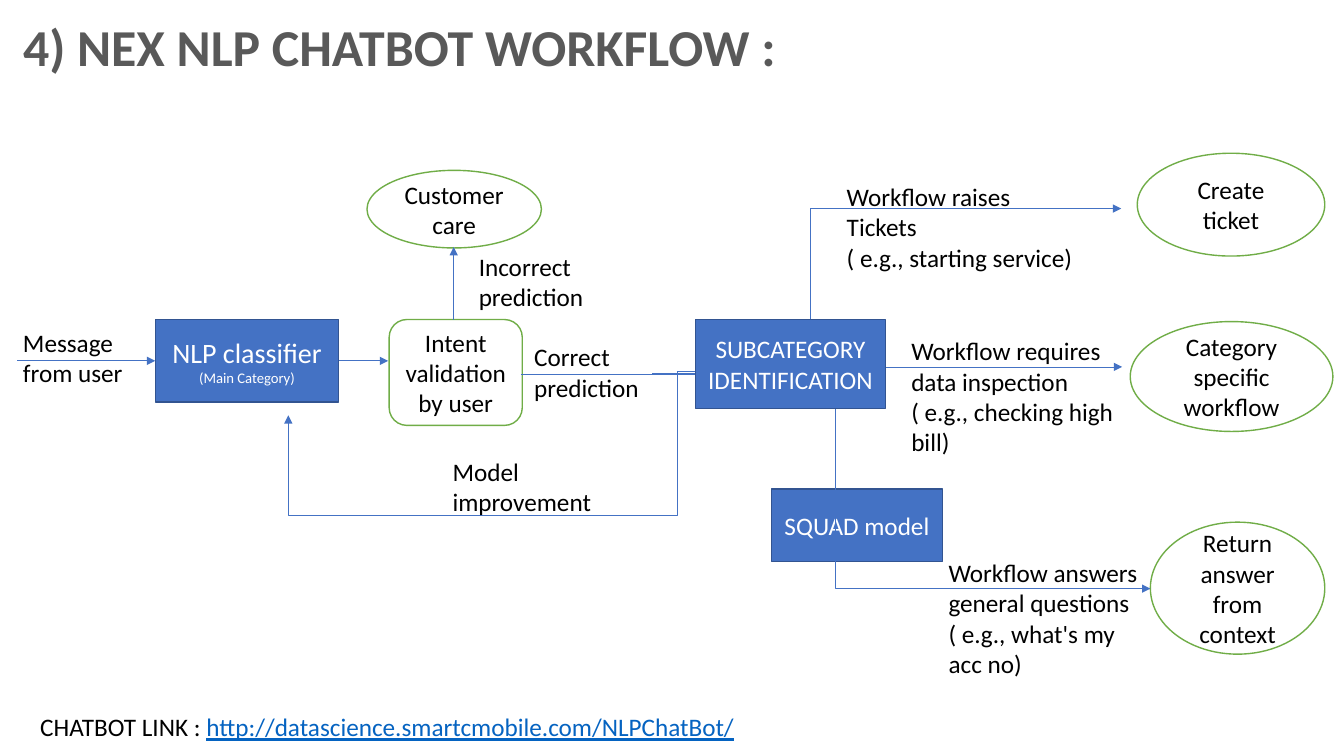
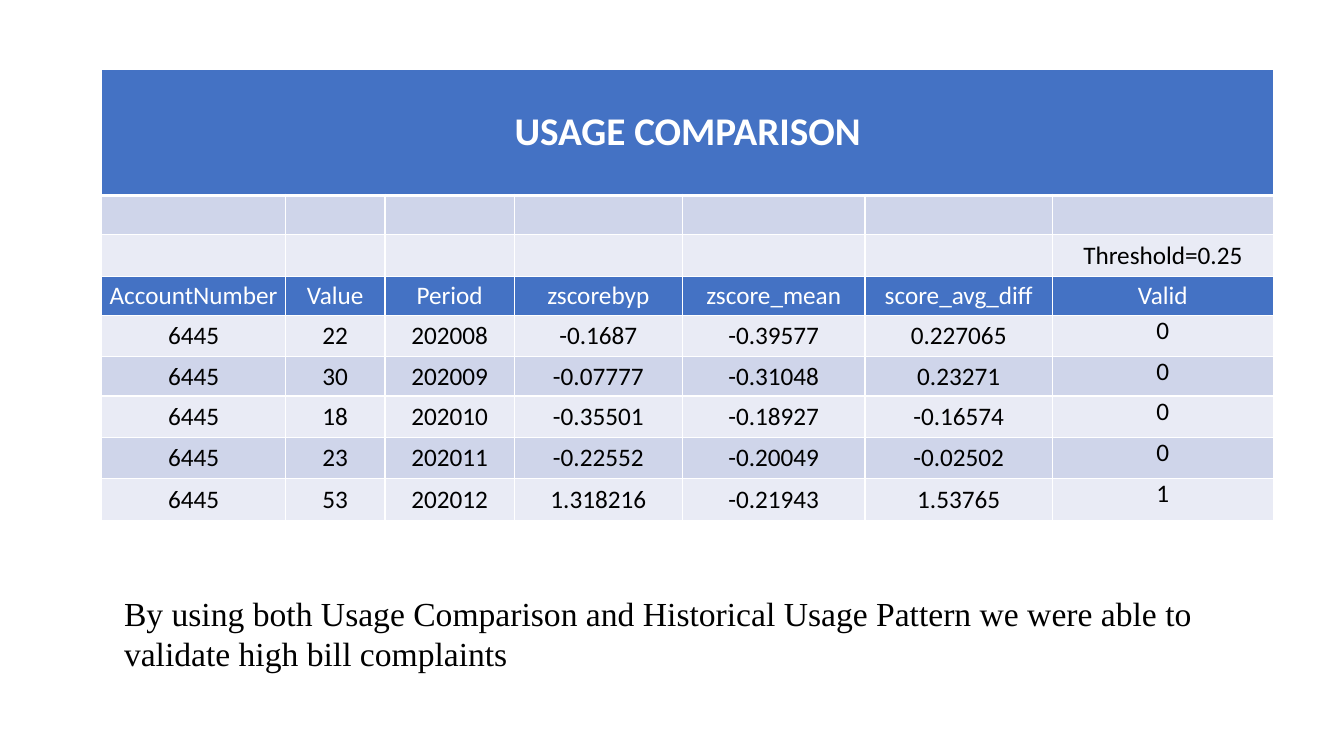
from pptx import Presentation
from pptx.dml.color import RGBColor
from pptx.enum.shapes import MSO_CONNECTOR, MSO_SHAPE
from pptx.enum.text import MSO_ANCHOR, MSO_AUTO_SIZE, PP_ALIGN
from pptx.oxml.ns import qn
from pptx.util import Inches, Pt
from lxml.etree import SubElement

BLUE, DARK_BLUE, GREEN = "4472C4", "325491", "70AD47"
WHITE, BLACK, GREY, LINK = "FFFFFF", "000000", "595959", "0563C1"
BAND_DARK, BAND_LIGHT = "CFD5EA", "E9EBF5"
BODY_FONT, NOTE_FONT = "Calibri", "Times New Roman"

TITLE = "4) NEX NLP CHATBOT WORKFLOW :"
LINK_LABEL, LINK_URL = "CHATBOT LINK : ", "http://datascience.smartcmobile.com/NLPChatBot/"

# Step kinds: preset shape, fill, outline, text colour
STEP_KINDS = {
    "model": (MSO_SHAPE.RECTANGLE, BLUE, DARK_BLUE, WHITE),
    "check": (MSO_SHAPE.ROUNDED_RECTANGLE, WHITE, GREEN, BLACK),
    "outcome": (MSO_SHAPE.OVAL, WHITE, GREEN, BLACK),
}
# Steps: kind, position, lines as (text, size)
STEPS = {
    "classifier": ("model", (1.54, 3.17, 1.82, 0.82),
                   [("NLP classifier", 20), ("(Main Category)", 10.5)]),
    "customer care": ("outcome", (3.64, 1.69, 1.73, 0.77), [("Customer care", 18)]),
    "validation": ("check", (3.86, 3.17, 1.32, 1.05), [("Intent validation by user", 18)]),
    "squad": ("model", (7.65, 4.85, 1.7, 0.72), [("SQUAD model", 18)]),
    "ticket": ("outcome", (11.28, 1.52, 1.86, 1.02), [("Create ticket", 18)]),
    "workflow": ("outcome", (11.21, 3.19, 2.01, 1.09), [("Category specific workflow", 18)]),
    "answer": ("outcome", (11.41, 5.18, 1.73, 1.31), [("Return answer from context", 18)]),
}
SUBCATEGORY = ("model", (6.9, 3.17, 1.88, 0.88), [("SUBCATEGORY IDENTIFICATION", 18)])

LABELS = [
    ((0.13, 3.2, 1.33, 0.71), ["Message", "from user"]),
    ((4.65, 2.44, 1.48, 0.71), ["Incorrect prediction"]),
    ((5.2, 3.34, 1.27, 0.71), ["Correct", "prediction"]),
    ((4.39, 4.48, 1.7, 0.71), ["Model", "improvement"]),
    ((8.3, 1.75, 2.53, 1.01), ["Workflow raises Tickets", "( e.g., starting service)"]),
    ((8.94, 3.28, 2.37, 1.32),
     ["Workflow requires data inspection", "( e.g., checking high bill)"]),
    ((9.31, 5.48, 2.16, 1.31),
     ["Workflow answers general questions", "( e.g., what's my acc no)"]),
]

# Arrows: start, end, turns (x of the first bend, then y of the second)
ARROWS = [
    ((0.17, 3.58), (1.54, 3.58), ()),
    ((3.36, 3.58), (3.85, 3.58), ()),
    ((4.5, 3.17), (4.5, 2.45), ()),
    ((7.68, 3.64), (11.13, 3.64), ()),
    ((6.47, 3.7), (11.12, 2.07), (8.04,)),
    ((5.17, 3.71), (11.41, 5.84), (8.29,)),
    ((7.07, 3.68), (2.86, 4.12), (6.72, 5.11)),
]

USAGE_TITLE = "USAGE COMPARISON"
THRESHOLD = "Threshold=0.25"
ACCOUNT = "6445"
USAGE_HEADERS = ["AccountNumber", "Value", "Period", "zscorebyp", "zscore_mean",
                 "score_avg_diff", "Valid"]
USAGE = [
    ("22", "202008", "-0.1687", "-0.39577", "0.227065", "0"),
    ("30", "202009", "-0.07777", "-0.31048", "0.23271", "0"),
    ("18", "202010", "-0.35501", "-0.18927", "-0.16574", "0"),
    ("23", "202011", "-0.22552", "-0.20049", "-0.02502", "0"),
    ("53", "202012", "1.318216", "-0.21943", "1.53765", "1"),
]
COLUMN_WIDTHS = [1.82, 0.99, 1.28, 1.67, 1.81, 1.86, 2.19]
ROW_HEIGHTS = [1.25, 0.39, 0.41, 0.39, 0.41, 0.39, 0.41, 0.41, 0.42]
HEADER_ROW = 3
CONCLUSION = ("By using both Usage Comparison and Historical Usage Pattern "
              "we were able to validate high bill complaints")


def rgb(value):
    return RGBColor.from_string(value)


def inches(values):
    return [Inches(value) for value in values]


def add_run(paragraph, text, size=18, color=BLACK, font=BODY_FONT, bold=False, underline=False):
    run = paragraph.add_run()
    run.text = text
    run.font.name, run.font.size = font, Pt(size)
    run.font.bold, run.font.underline = bold, underline
    run.font.color.rgb = rgb(color)


def paragraphs(frame, count):
    """Return the first paragraph and as many new ones as needed."""
    return [frame.paragraphs[0]] + [frame.add_paragraph() for _ in range(count - 1)]


def add_text(slide, place, lines, **style):
    frame = slide.shapes.add_textbox(*inches(place)).text_frame
    frame.word_wrap = True
    for paragraph, line in zip(paragraphs(frame, len(lines)), lines):
        add_run(paragraph, line, **style)
    return frame


def add_step(slide, kind, place, lines):
    preset, fill, outline, color = STEP_KINDS[kind]
    step = slide.shapes.add_shape(preset, *inches(place))
    step.shadow.inherit = False
    step.fill.solid()
    step.fill.fore_color.rgb = rgb(fill)
    step.line.color.rgb = rgb(outline)
    step.line.width = Pt(1)
    frame = step.text_frame
    frame.word_wrap = True
    frame.vertical_anchor = MSO_ANCHOR.MIDDLE
    for paragraph, (text, size) in zip(paragraphs(frame, len(lines)), lines):
        paragraph.alignment = PP_ALIGN.CENTER
        add_run(paragraph, text, size, color)
    return step


def add_arrow(slide, start, end, turns):
    kind = MSO_CONNECTOR.ELBOW if turns else MSO_CONNECTOR.STRAIGHT
    arrow = slide.shapes.add_connector(kind, *inches(start + end))
    arrow.line.color.rgb = rgb(BLUE)
    arrow.line.width = Pt(0.5)
    properties = arrow._element.spPr
    SubElement(properties.find(qn("a:ln")), qn("a:tailEnd"), type="triangle")
    SubElement(properties, qn("a:effectLst"))
    if turns:
        geometry = properties.find(qn("a:prstGeom"))
        geometry.set("prst", f"bentConnector{len(turns) + 2}")
        guides = geometry.find(qn("a:avLst"))
        for number, (turn, first, last) in enumerate(zip(turns, start, end), 1):
            share = round((turn - first) / (last - first) * 100000)
            SubElement(guides, qn("a:gd"), name=f"adj{number}", fmla=f"val {share}")
    return arrow


def set_borders(cell, bottom_width=1, top_width=1):
    properties = cell._tc.get_or_add_tcPr()
    widths = {"lnL": 1, "lnR": 1, "lnT": top_width, "lnB": bottom_width}
    for index, (side, width) in enumerate(widths.items()):
        border = SubElement(properties, qn(f"a:{side}"), w=str(Pt(width)))
        fill = SubElement(border, qn("a:solidFill"))
        SubElement(fill, qn("a:srgbClr"), val=WHITE)
        properties.insert(index, border)


def build_workflow(deck):
    slide = deck.slides.add_slide(deck.slide_layouts[5])
    title = slide.shapes.title
    title.left, title.top, title.width, title.height = inches((0.13, 0.1, 8.15, 0.73))
    title.text_frame.auto_size = MSO_AUTO_SIZE.NONE
    title.text_frame.vertical_anchor = MSO_ANCHOR.TOP
    heading = title.text_frame.paragraphs[0]
    heading.alignment = PP_ALIGN.LEFT
    add_run(heading, TITLE, 37, GREY, bold=True)

    steps = {name: add_step(slide, *step) for name, step in STEPS.items()}
    message, classified, *_ = [add_arrow(slide, *arrow) for arrow in ARROWS]
    message.end_connect(steps["classifier"], 1)
    classified.begin_connect(steps["classifier"], 3)
    add_step(slide, *SUBCATEGORY)
    for place, lines in LABELS:
        add_text(slide, place, lines)
    footer = add_text(slide, (0.3, 7.01, 9.21, 0.4), [LINK_LABEL])
    add_run(footer.paragraphs[0], LINK_URL, color=LINK, underline=True)


def build_usage(deck):
    slide = deck.slides.add_slide(deck.slide_layouts[6])
    last = len(USAGE_HEADERS) - 1
    rows = [[USAGE_TITLE] + [""] * last, [""] * (last + 1), [""] * last + [THRESHOLD],
            USAGE_HEADERS] + [[ACCOUNT, *reading] for reading in USAGE]
    place = (1.01, 0.69, sum(COLUMN_WIDTHS), sum(ROW_HEIGHTS))
    table = slide.shapes.add_table(len(rows), last + 1, *inches(place)).table
    table.first_row = table.horz_banding = False
    for column, width in zip(table.columns, COLUMN_WIDTHS):
        column.width = Inches(width)
    for row, height in zip(table.rows, ROW_HEIGHTS):
        row.height = Inches(height)
    table.cell(0, 0).merge(table.cell(0, last))

    for r, texts in enumerate(rows):
        heading = r in (0, HEADER_ROW)
        fill = BLUE if heading else BAND_DARK if r % 2 else BAND_LIGHT
        for c, text in enumerate(texts):
            cell = table.cell(r, c)
            cell.margin_left = cell.margin_right = cell.margin_top = cell.margin_bottom = 0
            top_aligned = r > HEADER_ROW and c == last
            cell.vertical_anchor = MSO_ANCHOR.TOP if top_aligned else MSO_ANCHOR.MIDDLE
            cell.fill.solid()
            cell.fill.fore_color.rgb = rgb(fill)
            set_borders(cell, bottom_width=3 if r == 0 else 1, top_width=3 if r == 1 else 1)
            if text:
                paragraph = cell.text_frame.paragraphs[0]
                paragraph.alignment = PP_ALIGN.CENTER
                add_run(paragraph, text, 28 if r == 0 else 18,
                        WHITE if heading else BLACK, bold=r == 0)

    note = add_text(slide, (1.1, 5.75, 11.12, 1.08), [CONCLUSION], size=24, font=NOTE_FONT)
    note.margin_left = note.margin_right = note.margin_top = note.margin_bottom = Inches(0.13)


def main():
    deck = Presentation()
    deck.slide_width, deck.slide_height = inches((13.33, 7.5))
    build_workflow(deck)
    build_usage(deck)
    deck.save("out.pptx")


if __name__ == "__main__":
    main()
